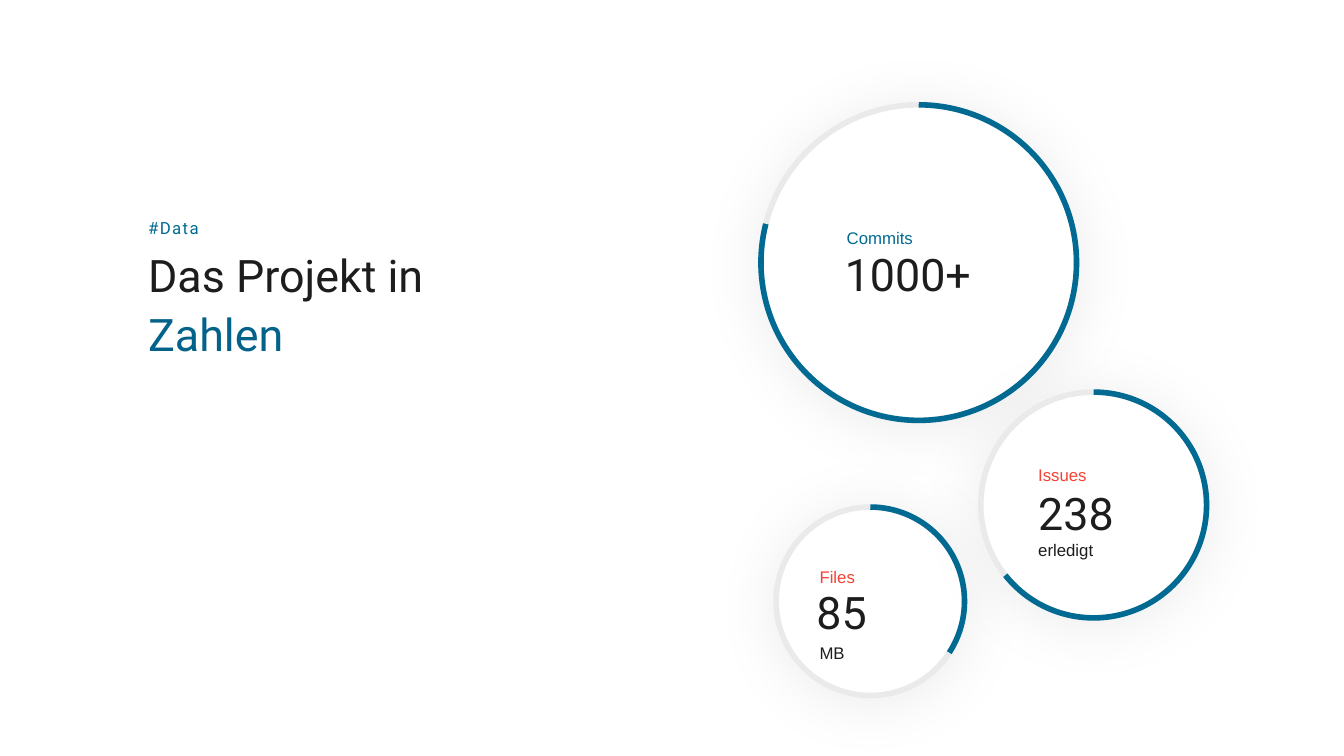
"""Build a slide with the project's key figures in progress rings."""
from lxml import etree
from pptx import Presentation
from pptx.dml.color import RGBColor
from pptx.enum import shapes, text
from pptx.oxml import ns
from pptx.util import Pt

BLUE, TITLE_BLUE, RED = "006A92", "036289", "F44336"
INK, TRACK, WHITE = "1D1D1D", "EAEAEA", "FFFFFF"


def color(hex_string):
    """Turn a hex string into a colour."""
    return RGBColor.from_string(hex_string)


def add_soft_shadow(shape):
    """Give a shape a faint, wide shadow that falls straight down."""
    effects = etree.SubElement(shape._element.spPr, ns.qn("a:effectLst"))
    shadow = etree.SubElement(effects, ns.qn("a:outerShdw"), blurRad=str(Pt(45)),
                              dist=str(Pt(3)), dir="5400000", algn="t", rotWithShape="0")
    tint = etree.SubElement(shadow, ns.qn("a:srgbClr"), val="000000")
    etree.SubElement(tint, ns.qn("a:alpha"), val="8000")


def add_text(parent, box, lines, size, font, spacing, insets=(0, 0, 0, 0),
             anchor=text.MSO_ANCHOR.TOP, tracking=0):
    """Add a text box with one paragraph for each (wording, colour) line."""
    frame = parent.shapes.add_textbox(*(Pt(length) for length in box)).text_frame
    frame.word_wrap = True
    frame.auto_size = text.MSO_AUTO_SIZE.SHAPE_TO_FIT_TEXT
    frame.vertical_anchor = anchor
    (frame.margin_left, frame.margin_top,
     frame.margin_right, frame.margin_bottom) = (Pt(inset) for inset in insets)
    for index, (wording, hex_string) in enumerate(lines):
        paragraph = frame.add_paragraph() if index else frame.paragraphs[0]
        paragraph.line_spacing = spacing
        run = paragraph.add_run()
        run.text = wording
        run.font.size = Pt(size)
        run.font.name = font
        run.font.color.rgb = color(hex_string)
        if tracking:
            run._r.get_or_add_rPr().set("spc", str(tracking * 100))


def add_circle(group, preset, box, line_color):
    """Add one outlined round shape that fills the box."""
    shape = group.shapes.add_shape(preset, *(Pt(length) for length in box))
    shape.line.color.rgb = color(line_color)
    shape.line.width = Pt(4)
    return shape


def add_ring(slide, left, top, diameter, end_angle, number, captions):
    """Add a progress ring with a number and captions placed from its corner."""
    group = slide.shapes.add_group_shape()
    box = (left, top, diameter, diameter)
    disc = add_circle(group, shapes.MSO_SHAPE.OVAL, box, TRACK)
    disc.fill.solid()
    disc.fill.fore_color.rgb = color(WHITE)
    add_soft_shadow(disc)
    arc = add_circle(group, shapes.MSO_SHAPE.ARC, box, BLUE)
    arc.fill.background()
    arc.shadow.inherit = False
    for index, angle in enumerate((270, end_angle)):
        arc.adjustments[index] = angle * 0.6
    wording, x, y = number
    add_text(group, (left + x, top + y, 114.5, 38.2), [(wording, INK)],
             32, "Roboto", 0.8, (0, 3.6, 7.2, 3.6))
    for wording, hex_string, x, y in captions:
        add_text(group, (left + x, top + y, 58, 18.7), [(wording, hex_string)],
                 12, "Arial", 1.5, (0, 0, 7.2, 0))


def add_heading(slide, left, top):
    """Add the tag and the two-line title below it."""
    add_text(slide, (left, top + 18.7, 321, 82), [("Das Projekt in", INK), ("Zahlen", TITLE_BLUE)],
             32, "Roboto", 1.1)
    add_text(slide, (left, top, 142.5, 15.8), [("#Data", BLUE)], 12, "Roboto", 1.2,
             anchor=text.MSO_ANCHOR.BOTTOM, tracking=1)


def build_figures_slide(presentation):
    """Add the slide with the heading and three rings."""
    slide = presentation.slides.add_slide(presentation.slide_layouts[6])
    slide.background.fill.solid()
    slide.background.fill.fore_color.rgb = color(WHITE)
    add_ring(slide, 554.4, 362.2, 134.6, 33.03, ("85", 28.8, 59),
             [("MB", INK, 31, 90), ("Files", RED, 31, 35.3)])
    add_ring(slide, 543.6, 74.9, 225.4, 194.21, ("1000+", 59.8, 105.1),
             [("Commits", BLUE, 61.2, 80.6)])
    add_ring(slide, 700.6, 280.1, 161.3, 141.52, ("238", 41, 70.6),
             [("erledigt", INK, 41, 97.9), ("Issues", RED, 41, 44.6)])
    add_heading(slide, 105.8, 154.1)


def main():
    """Build and save the presentation."""
    presentation = Presentation()
    presentation.slide_width, presentation.slide_height = Pt(960), Pt(540)
    build_figures_slide(presentation)
    presentation.save("out.pptx")


if __name__ == "__main__":
    main()
